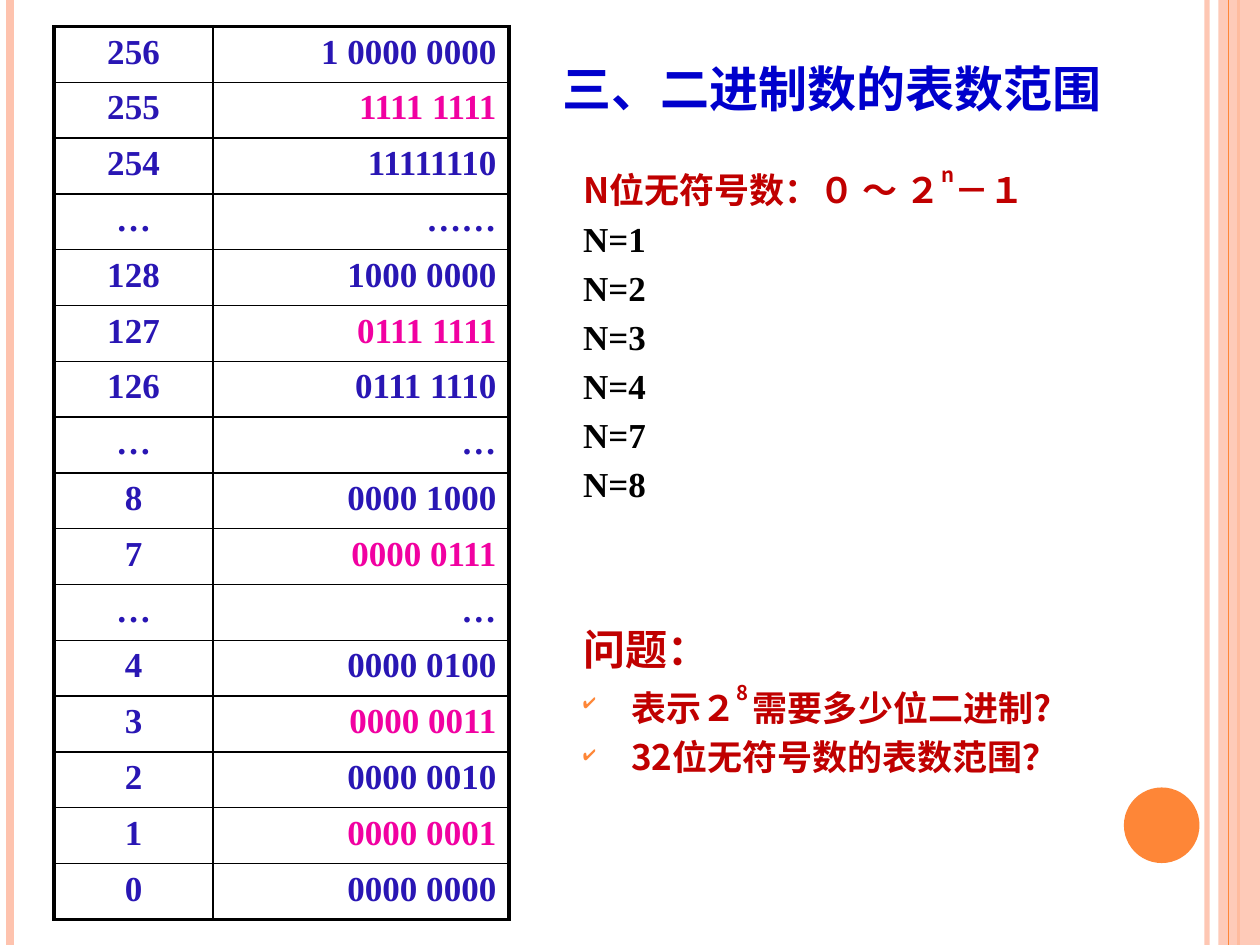
from lxml.etree import SubElement
from pptx import Presentation
from pptx.dml.color import RGBColor
from pptx.enum.shapes import MSO_CONNECTOR, MSO_SHAPE
from pptx.enum.text import PP_ALIGN as ALIGN
from pptx.oxml.ns import qn
from pptx.util import Inches, Pt

SANS, SERIF = "Noto Sans CJK SC", "Times New Roman"
INDIGO, PINK, RED, BLUE, BLACK = "2916B4", "F101A1", "C00000", "0000CC", "000000"
ORANGE, PEACH = "FE8637", "FEC3AE"

# Content: decimal, binary
NUMBERS = [
    ("256", "1 0000 0000"), ("255", "1111 1111"), ("254", "11111110"), ("…", "……"),
    ("128", "1000 0000"), ("127", "0111 1111"), ("126", "0111 1110"), ("…", "…"),
    ("8", "0000 1000"), ("7", "0000 0111"), ("…", "…"), ("4", "0000 0100"),
    ("3", "0000 0011"), ("2", "0000 0010"), ("1", "0000 0001"), ("0", "0000 0000"),
]
LARGEST = {"255", "127", "7", "3", "1"}  # largest value for a given width
COLUMNS = [1.26, 2.35]
TITLE = "三、二进制数的表数范围"
# A tuple inside a line is a superscript
RANGE = ["N位无符号数：０ ～ ２", ("n",), "－１"]
WIDTHS = [1, 2, 3, 4, 7, 8]
QUESTION = "问题："
TASKS = [["表示２", ("8 ",), "需要多少位二进制?"], ["32位无符号数的表数范围？"]]
# Vertical rules: x, colour, weight, opacity in percent
RULES_BEHIND = [(9.58, PEACH, 3, 93), (0.08, PEACH, 4.5, 100), (9.83, ORANGE, 1.5, 100)]
RULES_FRONT = [(9.75, ORANGE, 0.75, 100)]


def color(value):
    return RGBColor.from_string(value)


def set_opacity(element, percent):
    if percent < 100:
        target = next(element.iter(qn("a:srgbClr")))
        SubElement(target, qn("a:alpha"), val=str(percent * 1000))


def add_rules(page, rules):
    for x, tint, weight, opacity in rules:
        rule = page.shapes.add_connector(
            MSO_CONNECTOR.STRAIGHT, Inches(x), 0, Inches(x), Inches(7.5))
        rule.line.color.rgb = color(tint)
        rule.line.width = Pt(weight)
        set_opacity(rule.line._get_or_add_ln(), opacity)
        SubElement(rule._element.spPr, qn("a:effectLst"))


def add_plain(page, kind, place, tint, opacity=100):
    shape = page.shapes.add_shape(kind, *map(Inches, place))
    shape.shadow.inherit = False
    shape.fill.solid()
    shape.fill.fore_color.rgb = color(tint)
    shape.line.fill.background()
    set_opacity(shape._element.spPr, opacity)


def add_box(page, place, wrap):
    box = page.shapes.add_textbox(*map(Inches, place))
    box.text_frame.word_wrap = wrap
    return box.text_frame


def write(frame, parts, *, size=20, font=SANS, tint=RED, align=ALIGN.LEFT,
          before=0, line=None, bullet=None):
    """Fill the empty first paragraph, or add one after the last."""
    para = frame.paragraphs[0]
    if para.runs:
        para = frame.add_paragraph()
    para.alignment = align
    para.space_before = Pt(before)
    if line:
        para.line_spacing = Pt(line)
    if bullet:
        props = para._p.get_or_add_pPr()
        props.set("marL", str(Inches(0.38)))
        props.set("indent", str(-Inches(0.38)))
        SubElement(SubElement(props, qn("a:buClr")), qn("a:srgbClr"), val=ORANGE)
        SubElement(props, qn("a:buSzPct"), val="55000")
        SubElement(props, qn("a:buChar"), char=bullet)
    for part in [parts] if isinstance(parts, str) else parts:
        raised = isinstance(part, tuple)
        span = para.add_run()
        span.text = part[0] if raised else part
        span.font.size = Pt(size)
        span.font.bold = True
        span.font.name = font
        span.font.color.rgb = color(tint)
        props = span._r.get_or_add_rPr()
        SubElement(props, qn("a:ea"), typeface=font)
        if raised:
            props.set("baseline", "60000")


def set_borders(cell, **weights):
    props = cell._tc.get_or_add_tcPr()
    for position, side in enumerate("LRTB"):
        edge = props.makeelement(qn(f"a:ln{side}"), {"w": str(Pt(weights[side]))})
        SubElement(SubElement(edge, qn("a:solidFill")), qn("a:srgbClr"), val=BLACK)
        props.insert(position, edge)


def add_number_table(page):
    last = len(NUMBERS) - 1
    table = page.shapes.add_table(
        len(NUMBERS), 2, Inches(0.43), Inches(0.21),
        Inches(sum(COLUMNS)), Inches(7.09)).table
    table.first_row = table.horz_banding = False
    for column, width in zip(table.columns, COLUMNS):
        column.width = Inches(width)
    for r, values in enumerate(NUMBERS):
        for c, value in enumerate(values):
            cell = table.cell(r, c)
            cell.fill.background()
            set_borders(cell, L=1 if c else 2.25, R=2.25 if c else 1,
                        T=1 if r else 2.25, B=2.25 if r == last else 1)
            write(cell.text_frame, value, font=SERIF,
                  tint=PINK if c and values[0] in LARGEST else INDIGO,
                  align=ALIGN.RIGHT if c else ALIGN.CENTER)


def main():
    deck = Presentation()
    deck.slide_width, deck.slide_height = Inches(10), Inches(7.5)
    page = deck.slides.add_slide(deck.slide_layouts[6])

    # Side decoration
    add_rules(page, RULES_BEHIND)
    add_plain(page, MSO_SHAPE.RECTANGLE, (9.67, 0, 0.33, 7.5), PEACH, 87)
    add_rules(page, RULES_FRONT)
    add_plain(page, MSO_SHAPE.OVAL, (8.92, 6.25, 0.6, 0.6), ORANGE)

    add_number_table(page)

    # Range of unsigned numbers, then the questions
    body = add_box(page, (4.53, 1.23, 4.72, 5.04), True)
    write(body, RANGE, line=28)
    for width in WIDTHS:
        write(body, f"N={width}", font=SERIF, tint=BLACK, line=28)
    write(body, QUESTION, size=24, before=69, line=28)
    for index, task in enumerate(TASKS):
        write(body, task, before=0 if index else 3, line=28, bullet="✔")

    # Title
    title = add_box(page, (4.37, 0.4, 4.54, 0.57), False)
    write(title, TITLE, size=28, tint=BLUE, line=35)

    deck.save("out.pptx")


if __name__ == "__main__":
    main()
